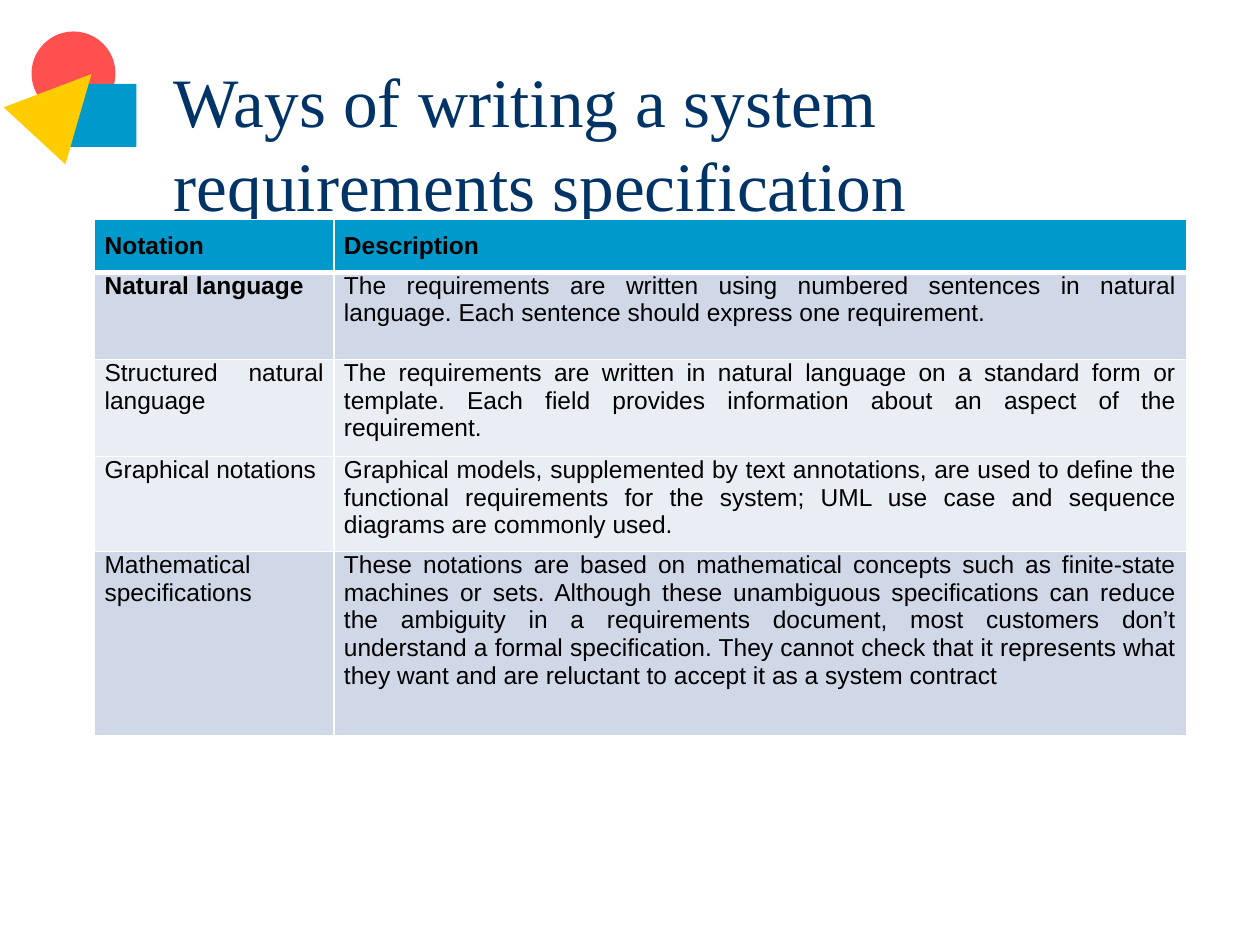
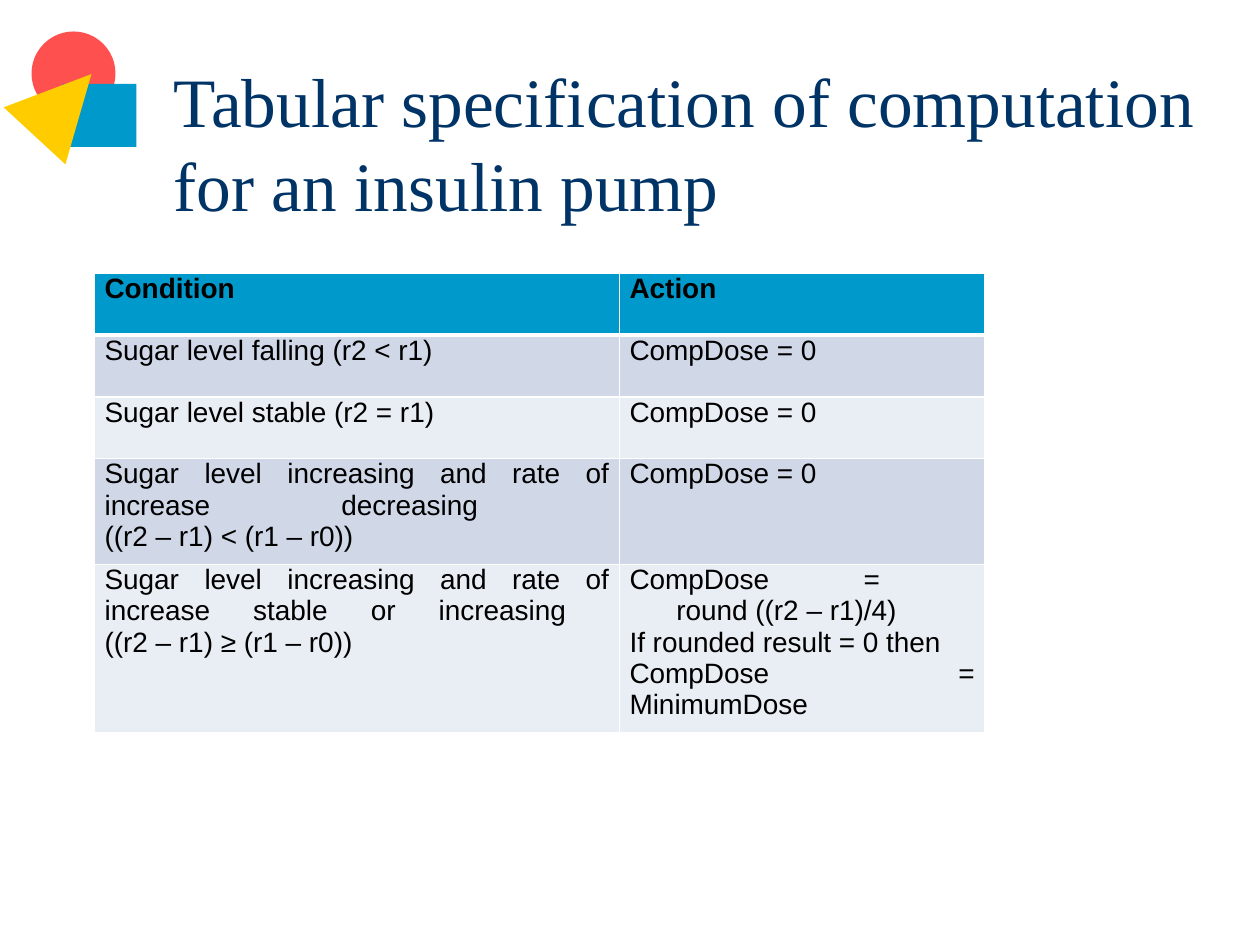
from lxml.etree import SubElement
from pptx import Presentation
from pptx.dml.color import RGBColor
from pptx.enum.shapes import MSO_SHAPE
from pptx.enum.text import MSO_ANCHOR, MSO_AUTO_SIZE, PP_ALIGN
from pptx.oxml.ns import qn
from pptx.util import Inches, Pt

COLORS = {
    "red": "FF5050", "blue": "0099CC", "yellow": "FFCC00",
    "title": "003366", "text": "000000", "border": "FFFFFF",
    "dark_band": "D0D8E8", "light_band": "E9EDF4",
}
TITLE_FONT, TABLE_FONT = "Times New Roman", "Arial"
TITLE_BOX = (15.36, 6, 102, 15)
EMBLEM_BOX = (2, 3)
EMBLEM_PARTS = [  # preset, offset and size in grid units, colour, rotation
    (MSO_SHAPE.OVAL, (1, 0, 8, 8), "red", 0),
    (MSO_SHAPE.RECTANGLE, (4, 5, 7, 6), "blue", 0),
    (MSO_SHAPE.ISOSCELES_TRIANGLE, (0, 3, 8, 8), "yellow", 42.7),
]
HANGING_INDENT = 4.45

NOTATIONS = {
    "title": "Ways of writing a system requirements specification",
    "box": (9, 20.9),
    "columns": (22.8, 81.2),
    "rows": (4.8, 8.3, 9.25, 8.3, 17.5),
    "bands": ("blue", "dark_band", "light_band", "light_band", "dark_band"),
    "size": 14,
    "header_inset": 1.2,
    "bold_cells": [(1, 0)],
    "hanging_cells": [],
    "cells": [
        ("Notation", "Description"),
        ("Natural language",
         "The requirements are written using numbered sentences in natural "
         "language. Each sentence should express one requirement."),
        ("Structured natural language ",
         "The requirements are written in natural language on a standard form "
         "or template. Each field provides information about an aspect of the "
         "requirement."),
        ("Graphical notations",
         "Graphical models, supplemented by text annotations, are used to "
         "define the functional requirements for the system; UML use case and "
         "sequence diagrams are commonly used."),
        ("Mathematical specifications",
         "These notations are based on mathematical concepts such as "
         "finite-state machines or sets. Although these unambiguous "
         "specifications can reduce the ambiguity in a requirements document, "
         "most customers don’t understand a formal specification. They cannot "
         "check that it represents what they want and are reluctant to accept "
         "it as a system contract"),
    ],
}

INSULIN_PUMP = {
    "title": "Tabular specification of computation for an insulin pump",
    "box": (9, 26),
    "columns": (50, 34.8),
    "rows": (5.9, 5.9, 5.9, 5.9, 8),
    "bands": ("blue", "dark_band", "light_band", "dark_band", "light_band"),
    "size": 16,
    "header_inset": 0,
    "bold_cells": [],
    "hanging_cells": [(4, 1)],
    "cells": [
        ("Condition", "Action"),
        ("Sugar level falling (r2 < r1)", "CompDose = 0"),
        ("Sugar level stable (r2 = r1)", "CompDose = 0"),
        ("Sugar level increasing and rate of increase decreasing \v"
         "((r2 – r1) < (r1 – r0))", "CompDose = 0"),
        ("Sugar level increasing and rate of increase stable or increasing \v"
         "((r2 – r1) ≥ (r1 – r0))",
         "CompDose = \vround ((r2 – r1)/4)\nIf rounded result = 0 then \n"
         "CompDose = MinimumDose"),
    ],
}


def grid(units):
    """Length of grid units; the slide is 120 columns by 90 rows."""
    return Inches(units / 12)


def color(name):
    return RGBColor.from_string(COLORS[name])


def style_font(font, name, size, color_name, bold=False):
    font.name, font.size, font.bold = name, Pt(size), bold
    font.color.rgb = color(color_name)


def add_emblem(slide, box):
    for preset, (left, top, width, height), fill, rotation in EMBLEM_PARTS:
        shape = slide.shapes.add_shape(
            preset, grid(box[0] + left), grid(box[1] + top),
            grid(width), grid(height))
        shape.shadow.inherit = False
        shape.fill.solid()
        shape.fill.fore_color.rgb = color(fill)
        shape.line.fill.background()
        shape.rotation = rotation


def set_title(slide, text, box):
    title = slide.shapes.title
    title.left, title.top, title.width, title.height = map(grid, box)
    frame = title.text_frame
    frame.text = text
    frame.word_wrap = True
    frame.auto_size = MSO_AUTO_SIZE.NONE
    frame.vertical_anchor = MSO_ANCHOR.MIDDLE
    paragraph = frame.paragraphs[0]
    paragraph.alignment = PP_ALIGN.LEFT
    paragraph.line_spacing = Pt(48)
    style_font(paragraph.font, TITLE_FONT, 39.6, "title")


def add_borders(cell, row):
    """White lines, thicker between the header and the first row."""
    widths = {"lnL": 1, "lnR": 1, "lnT": 3 if row == 1 else 1,
              "lnB": 3 if row == 0 else 1}
    properties = cell._tc.get_or_add_tcPr()
    for position, (tag, width) in enumerate(widths.items()):
        line = SubElement(properties, qn(f"a:{tag}"), w=str(Pt(width)))
        fill = SubElement(line, qn("a:solidFill"))
        SubElement(fill, qn("a:srgbClr"), val=COLORS["border"])
        properties.insert(position, line)


def fill_cell(cell, row, column, content):
    cell.margin_left = cell.margin_right = Inches(0.08)
    cell.margin_top = grid(content["header_inset"] if row == 0 else 0)
    cell.margin_bottom = Inches(0.1)
    cell.fill.solid()
    cell.fill.fore_color.rgb = color(content["bands"][row])
    add_borders(cell, row)
    cell.text_frame.text = content["cells"][row][column]
    bold = row == 0 or (row, column) in content["bold_cells"]
    for paragraph in cell.text_frame.paragraphs:
        paragraph.alignment = PP_ALIGN.JUSTIFY
        style_font(paragraph.font, TABLE_FONT, content["size"], "text", bold)
    if (row, column) in content["hanging_cells"]:
        properties = cell.text_frame.paragraphs[0]._p.get_or_add_pPr()
        properties.set("marL", str(grid(HANGING_INDENT)))
        properties.set("indent", str(-grid(HANGING_INDENT)))


def add_content_table(slide, content):
    columns, rows = content["columns"], content["rows"]
    table = slide.shapes.add_table(
        len(rows), len(columns), *map(grid, content["box"]),
        grid(sum(columns)), grid(sum(rows))).table
    for column, width in zip(table.columns, columns):
        column.width = grid(width)
    for row, height in zip(table.rows, rows):
        row.height = grid(height)
    for row in range(len(rows)):
        for column in range(len(columns)):
            fill_cell(table.cell(row, column), row, column, content)


def add_table_slide(presentation, content):
    title_only = presentation.slide_layouts[5]
    slide = presentation.slides.add_slide(title_only)
    add_emblem(slide, EMBLEM_BOX)
    set_title(slide, content["title"], TITLE_BOX)
    add_content_table(slide, content)


def main():
    presentation = Presentation()
    presentation.slide_width, presentation.slide_height = grid(120), grid(90)
    for content in (NOTATIONS, INSULIN_PUMP):
        add_table_slide(presentation, content)
    presentation.save("out.pptx")


if __name__ == "__main__":
    main()
